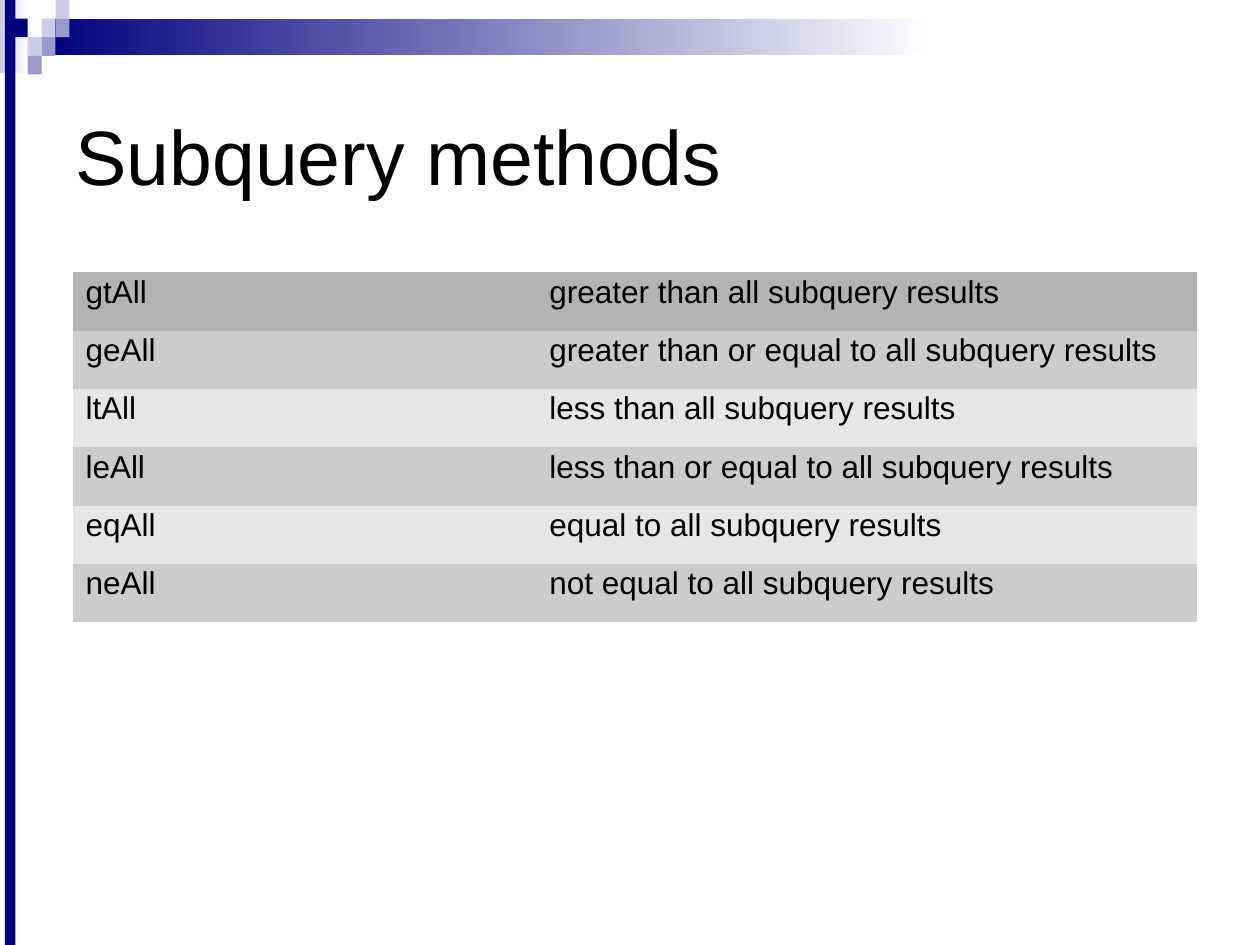
import dataclasses
import typing

import pptx
import pptx.dml.color
import pptx.enum.shapes
import pptx.enum.text
import pptx.util

Cm = pptx.util.Cm
Pt = pptx.util.Pt


@dataclasses.dataclass(frozen=True)
class Theme:
    font: str = "Arial"
    title: int = 44
    body: int = 18
    ink: str = "000000"
    white: str = "FFFFFF"
    navy: str = "00007D"
    rail: str = "000080"
    mid: str = "9999CC"
    pale: str = "CCCCE6"
    head: str = "B3B3B3"
    bands: tuple[str, str] = ("CCCCCC", "E6E6E6")


class Box(typing.NamedTuple):
    """A rectangle in centimetres; a second colour makes it fade to the right."""
    x: float
    y: float
    w: float
    h: float
    fill: str
    fade: str | None = None


class Tile(typing.NamedTuple):
    col: int
    row: int
    fill: str


class Method(typing.NamedTuple):
    name: str
    sense: str


THEME = Theme()
TILE_W, TILE_H = 0.28, 1.5 / 4
NO_STYLE = "{2D5ABB26-0587-4C30-8999-92F81FD0307C}"

FADES = [
    Box(0, 0, 0.58, 1.47, THEME.pale, THEME.white),
    Box(0.86, 0.38, 17.98, 0.74, THEME.navy, THEME.white),
]
TILES = [
    Tile(3, 1, THEME.pale),
    Tile(4, 0, THEME.pale),
    Tile(4, 1, THEME.mid),
    Tile(2, 2, THEME.pale),
    Tile(1, 1, THEME.navy),
    Tile(3, 2, THEME.mid),
    Tile(2, 3, THEME.mid),
]
RAIL = Box(0.1, 0, 0.21, 19.05, THEME.rail)
METHODS = [
    Method("gtAll", "greater than all subquery results"),
    Method("geAll", "greater than or equal to all subquery results"),
    Method("ltAll", "less than all subquery results"),
    Method("leAll", "less than or equal to all subquery results"),
    Method("eqAll", "equal to all subquery results"),
    Method("neAll", "not equal to all subquery results"),
]


def rgb(code: str) -> pptx.dml.color.RGBColor:
    return pptx.dml.color.RGBColor.from_string(code)


def write(frame, text: str, *, size: int, lead: float) -> None:
    para = frame.paragraphs[0]
    para.line_spacing = lead
    run = para.add_run()
    run.text = text
    run.font.name = THEME.font
    run.font.size = Pt(size)
    run.font.color.rgb = rgb(THEME.ink)


def draw_box(slide, box: Box) -> None:
    shape = slide.shapes.add_shape(
        pptx.enum.shapes.MSO_SHAPE.RECTANGLE,
        Cm(box.x), Cm(box.y), Cm(box.w), Cm(box.h))
    shape.shadow.inherit = False
    shape.line.fill.background()
    if box.fade is None:
        shape.fill.solid()
        shape.fill.fore_color.rgb = rgb(box.fill)
        return
    shape.fill.gradient()
    shape.fill.gradient_angle = 0
    for stop, code in zip(shape.fill.gradient_stops, (box.fill, box.fade)):
        stop.color.rgb = rgb(code)


def draw_tile(slide, tile: Tile) -> None:
    draw_box(slide, Box(tile.col * TILE_W, tile.row * TILE_H,
                        TILE_W, TILE_H, tile.fill))


def draw_title(slide, text: str) -> None:
    frame = slide.shapes.add_textbox(
        Cm(1.27), Cm(1.27), Cm(22.86), Cm(3.81)).text_frame
    frame.word_wrap = True
    frame.vertical_anchor = pptx.enum.text.MSO_ANCHOR.MIDDLE
    frame.margin_left = frame.margin_right = Cm(0.25)
    frame.margin_top, frame.margin_bottom = Cm(0.23), Cm(0.13)
    write(frame, text, size=THEME.title, lead=0.93)


def draw_table(slide, rows: list[Method]) -> None:
    widths = (9.35, 13.31)
    shape = slide.shapes.add_table(
        len(rows), len(widths), Cm(1.47), Cm(5.49), Cm(sum(widths)), Cm(7.06))
    table = shape.table
    table.first_row = table.horz_banding = False
    # Plain style: no borders
    table._tbl.tblPr[0].text = NO_STYLE
    for col, width in zip(table.columns, widths):
        col.width = Cm(width)
    for i, row in enumerate(rows):
        fill = THEME.bands[(i - 1) % 2] if i else THEME.head
        for j, text in enumerate(row):
            cell = table.cell(i, j)
            cell.fill.solid()
            cell.fill.fore_color.rgb = rgb(fill)
            write(cell.text_frame, text, size=THEME.body, lead=0.87)


def main() -> None:
    deck = pptx.Presentation()
    deck.slide_width, deck.slide_height = Cm(25.4), Cm(19.05)
    slide = deck.slides.add_slide(deck.slide_layouts[6])

    # Corner ornament and side rail
    for box in FADES:
        draw_box(slide, box)
    for tile in TILES:
        draw_tile(slide, tile)
    draw_box(slide, RAIL)

    # Content
    draw_title(slide, "Subquery methods")
    draw_table(slide, METHODS)

    deck.save("out.pptx")


if __name__ == "__main__":
    main()
